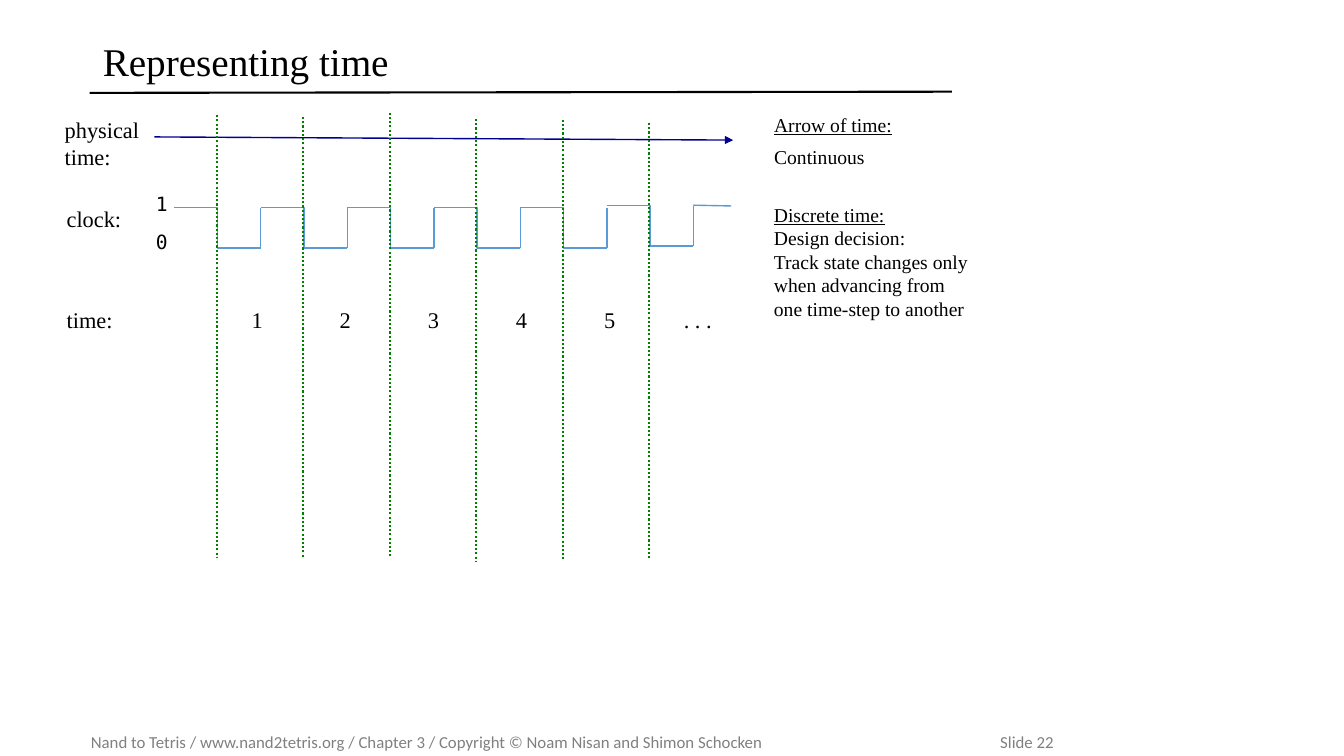
"""Build the slide on representing time with a clock signal."""
from pptx import Presentation
from pptx.dml.color import RGBColor
from pptx.enum import dml, shapes, text
from pptx.oxml.ns import qn
from pptx.util import Cm, Pt
from lxml import etree

BLACK = RGBColor(0, 0, 0)
GREY = RGBColor(0x80, 0x80, 0x80)
BLUE = RGBColor(0x5B, 0x9B, 0xD5)
NAVY = RGBColor(0, 0, 0x90)
GREEN = RGBColor(0, 0x80, 0)
SERIF, MONO, SANS = "Times New Roman", "DejaVu Sans Mono", "Calibri"
LINE, ELBOW = shapes.MSO_CONNECTOR.STRAIGHT, shapes.MSO_CONNECTOR.ELBOW
TOP, MIDDLE = text.MSO_ANCHOR.TOP, text.MSO_ANCHOR.MIDDLE

deck = Presentation()
deck.slide_width, deck.slide_height = Cm(33.86), Cm(19.05)
slide = deck.slides.add_slide(deck.slide_layouts[6])


def draw(kind, x1, y1, x2, y2, color, width=1):
    link = slide.shapes.add_connector(kind, Cm(x1), Cm(y1), Cm(x2), Cm(y2))
    link.line.color.rgb = color
    link.line.width = Pt(width)
    etree.SubElement(link._element.spPr, qn("a:effectLst"))
    return link


def write(shape, words, size, font, pad, anchor, tabs=(), color=BLACK):
    frame = shape.text_frame
    frame.word_wrap = True
    frame.vertical_anchor = anchor
    (frame.margin_left, frame.margin_top,
     frame.margin_right, frame.margin_bottom) = [Cm(p) for p in pad]
    frame.text = words
    for para in frame.paragraphs:
        para.alignment = text.PP_ALIGN.LEFT
        if tabs:
            stops = etree.SubElement(para._p.get_or_add_pPr(), qn("a:tabLst"))
            for pos, side in tabs:
                etree.SubElement(stops, qn("a:tab"), pos=str(Cm(pos)), algn=side)
        for run in para.runs:
            run.font.size = Pt(size)
            run.font.name = font
            run.font.color.rgb = color
    return frame


foot = slide.shapes.add_textbox(Cm(2.29), Cm(18.31), Cm(31.1), Cm(0.76))
write(foot, "Nand to Tetris / www.nand2tetris.org / Chapter 3 / Copyright © "
      "Noam Nisan and Shimon Schocken\tSlide 22",
      12, SANS, (0, 0.13, 0, 0.13), MIDDLE, [(22.91, "l")], GREY)

draw(LINE, 2.26, 2.34, 23.98, 2.31, BLACK, 1.5)
title = slide.shapes.add_textbox(Cm(2.34), Cm(0.81), Cm(21.67), Cm(1.6))
head = write(title, "Representing time", 28, SERIF, (0.25, 0.13, 0.25, 0.13), MIDDLE)
head.paragraphs[0].line_spacing = 0.9

step = 2.18
highs = [5.23] * 5 + [5.18]
for i, high in enumerate(highs):
    left = 4.39 + step * i
    right = left + step
    low = high + 1.02
    draw(ELBOW, left, high, right, low, BLUE)
    draw(LINE, right, high, right, low, BLUE)
draw(LINE, right, 5.17, 18.42, 5.19, BLUE)

for digit, y in (("1", 4.7), ("0", 5.66)):
    level = slide.shapes.add_textbox(Cm(3.68), Cm(y), Cm(0.79), Cm(0.86))
    write(level, digit, 14, MONO, (0.25, 0.13, 0.25, 0.13), TOP).word_wrap = False

marks = [(4.8 + 2.22 * i, "ctr") for i in range(6)]
for words, x, y, width, tabs in (
        ("clock:", 1.17, 4.78, 2.87, ()),
        ("time:\t1\t2\t3\t4\t5\t. . .", 1.17, 7.34, 21.11, marks),
        ("physical time:", 1.12, 2.54, 2.87, ())):
    label = slide.shapes.add_textbox(Cm(x), Cm(y), Cm(width), Cm(1.19))
    write(label, words, 16, SERIF, (0.51, 0.38, 0.41, 0.25), TOP, tabs)

arrow = draw(LINE, 3.89, 3.45, 18.47, 3.53, NAVY)
etree.SubElement(arrow.line._get_or_add_ln(), qn("a:tailEnd"), type="triangle")

ends = [(2.9, 14.07), (2.95, 14.07), (2.84, 14.07),
        (3, 14.17), (3.02, 14.12), (3.1, 14.07)]
for i, (top, base) in enumerate(ends):
    x = 5.46 + step * i
    tick = draw(LINE, x, top, x, base, GREEN, 1.5)
    tick.line.dash_style = dml.MSO_LINE.ROUND_DOT

for words, box, tip, pad, gap in (
        ("Arrow of time:\nContinuous", (19.15, 2.49, 3.71, 2.11),
         (-0.82, -0.21), (0.25, 0.13, 0.25, 0.13), 6),
        ("Discrete time:\nDesign decision:\vTrack state changes only when "
         "advancing from one time-step to another", (19.08, 4.93, 5.61, 3.45),
         (-0.62, 0.18), (0.25, 0, 0, 0.13), 0)):
    note = slide.shapes.add_shape(
        shapes.MSO_SHAPE.ROUNDED_RECTANGULAR_CALLOUT, *[Cm(v) for v in box])
    note.adjustments[0], note.adjustments[1] = tip
    note.shadow.inherit = False
    note.fill.background()
    note.line.fill.background()
    first, second = write(note, words, 14, SERIF, pad, MIDDLE).paragraphs
    first.runs[0].font.underline = True
    second.space_before = Pt(gap)

deck.save("out.pptx")
